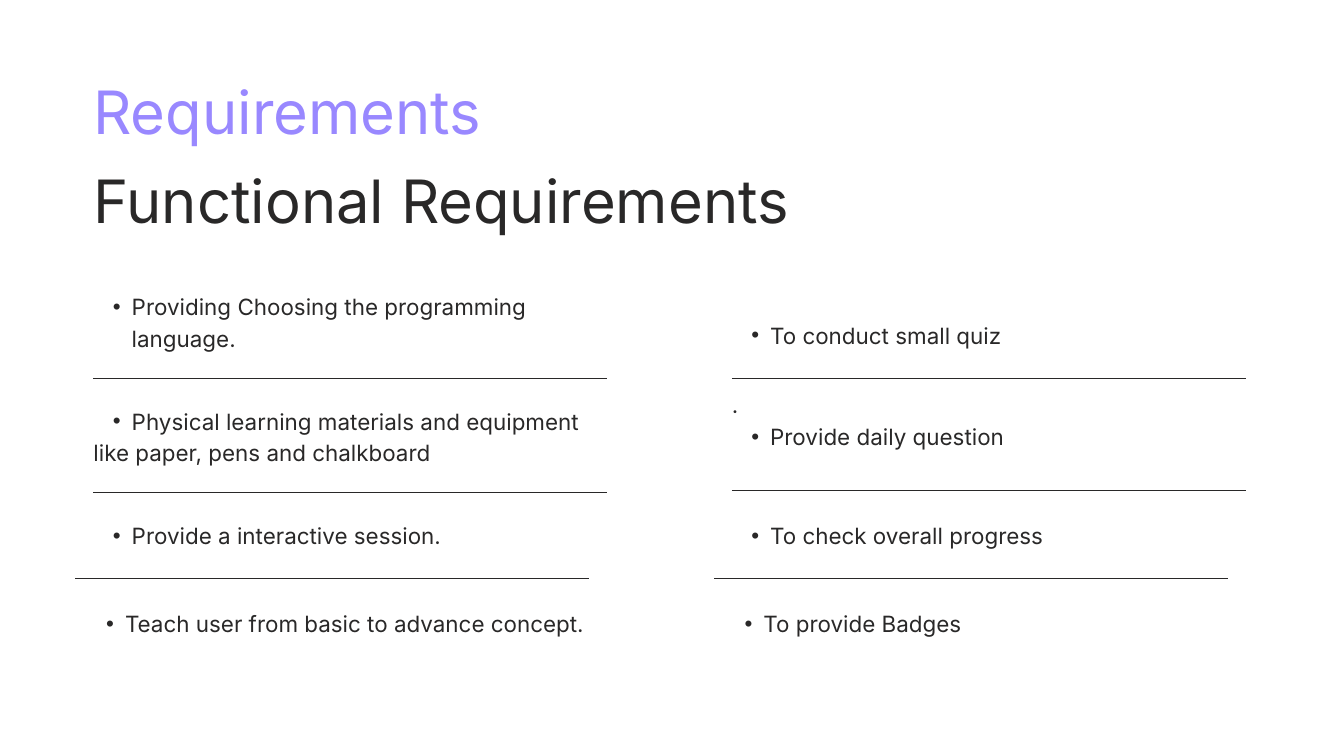
from lxml.etree import SubElement
from pptx import Presentation
from pptx.dml.color import RGBColor
from pptx.enum.shapes import MSO_CONNECTOR
from pptx.oxml.ns import qn
from pptx.util import Inches, Pt

PURPLE = RGBColor(0x99, 0x88, 0xFF)
DARK = RGBColor(0x29, 0x28, 0x28)
FONT = "Inter"
COLUMN_WIDTH = 7.65
COLUMNS = (1.39, 10.89)
BULLET = "•"

# Each item: offset from the column, top, height, lines as (text, bulleted)
LEFT_ITEMS = [
    (0, 4.3, 0.9, [("Providing Choosing the programming language.", True)]),
    (0, 6, 0.9, [("Physical learning materials and equipment", True),
                 ("like paper, pens and chalkboard", False)]),
    (0, 7.7, 0.44, [("Provide a interactive session.", True)]),
    (-0.1, 9.01, 0.44, [("Teach user from basic to advance concept.", True)]),
]
RIGHT_ITEMS = [
    (0, 4.72, 0.44, [("To conduct small quiz", True)]),
    (0, 5.76, 1.36, [(".", False), ("Provide daily question", True)]),
    (0, 7.7, 0.44, [("To check overall progress", True)]),
    (-0.1, 9.01, 0.44, [("To provide Badges", True)]),
]
LEFT_RULES = [(0, 5.63), (0, 7.33), (-0.27, 8.61)]
RIGHT_RULES = [(0, 5.63), (0, 7.3), (-0.26, 8.61)]


def add_bullet(paragraph):
    paragraph.level = 1
    properties = paragraph._p.get_or_add_pPr()
    properties.set("marL", str(Inches(0.57)))
    properties.set("indent", str(Inches(-0.28)))
    SubElement(properties, qn("a:buFont")).set("typeface", "Arial")
    SubElement(properties, qn("a:buChar")).set("char", BULLET)


def add_text(slide, left, top, width, height, lines, size, spacing, color):
    box = slide.shapes.add_textbox(
        Inches(left), Inches(top), Inches(width), Inches(height))
    frame = box.text_frame
    frame.word_wrap = True
    frame.margin_left = frame.margin_right = 0
    frame.margin_top = frame.margin_bottom = 0
    for index, (text, bulleted) in enumerate(lines):
        paragraph = frame.add_paragraph() if index else frame.paragraphs[0]
        paragraph.text = text
        if bulleted:
            add_bullet(paragraph)
        paragraph.line_spacing = Pt(spacing)
        paragraph.font.name = FONT
        paragraph.font.size = Pt(size)
        paragraph.font.color.rgb = color


def add_heading(slide, text, top, width, color):
    add_text(slide, COLUMNS[0], top, width, 1.06, [(text, False)], 64, 76.8, color)


def add_rule(slide, left, top):
    rule = slide.shapes.add_connector(
        MSO_CONNECTOR.STRAIGHT, Inches(left), Inches(top),
        Inches(left + COLUMN_WIDTH), Inches(top))
    rule.line.color.rgb = DARK
    rule.line.width = Pt(0.75)
    SubElement(rule._element.spPr, qn("a:effectLst"))


def add_column(slide, left, items, rules):
    for offset, top, height, lines in items:
        add_text(slide, left + offset, top, COLUMN_WIDTH, height,
                 lines, 24, 33.6, DARK)
    for offset, top in rules:
        add_rule(slide, left + offset, top)


def main():
    presentation = Presentation()
    presentation.slide_width = Inches(20)
    presentation.slide_height = Inches(11.25)
    slide = presentation.slides.add_slide(presentation.slide_layouts[6])
    add_heading(slide, "Requirements", 1.12, COLUMN_WIDTH, PURPLE)
    add_heading(slide, "Functional Requirements", 2.44, 15.1, DARK)
    add_column(slide, COLUMNS[0], LEFT_ITEMS, LEFT_RULES)
    add_column(slide, COLUMNS[1], RIGHT_ITEMS, RIGHT_RULES)
    presentation.save("out.pptx")


if __name__ == "__main__":
    main()
